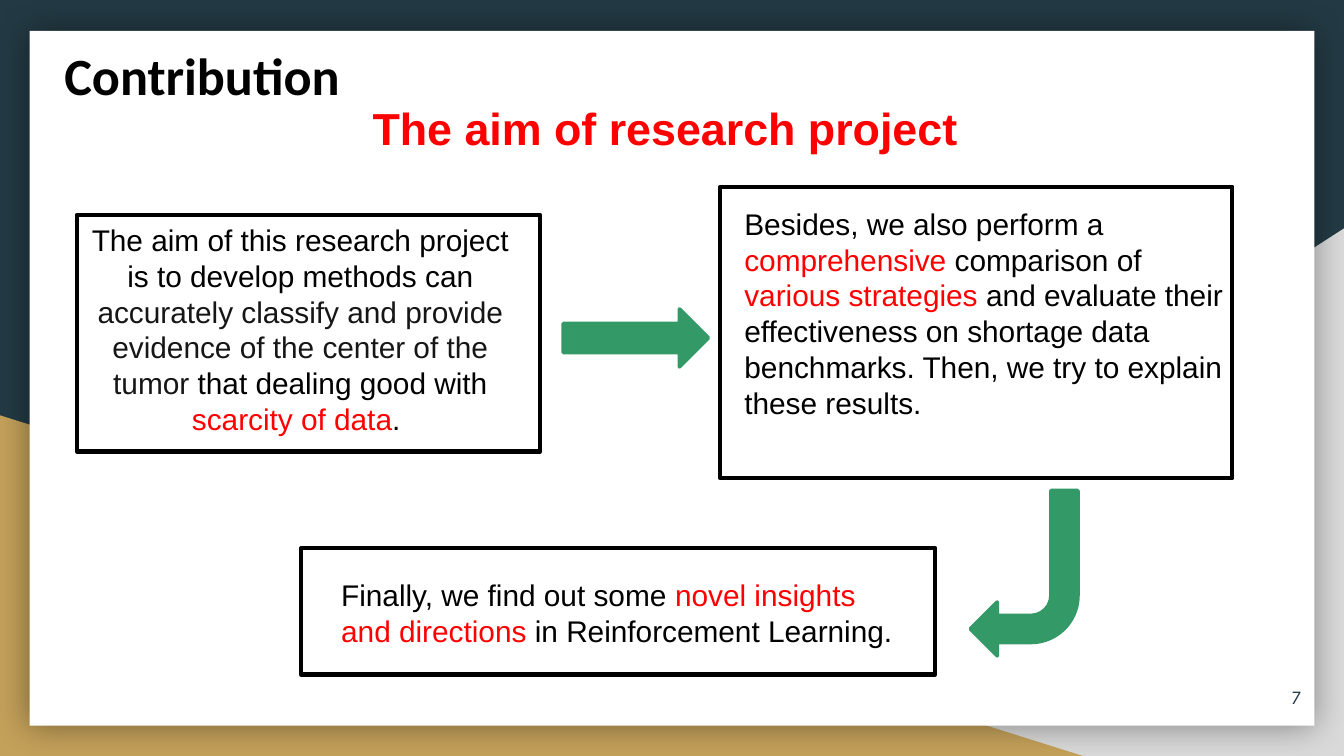
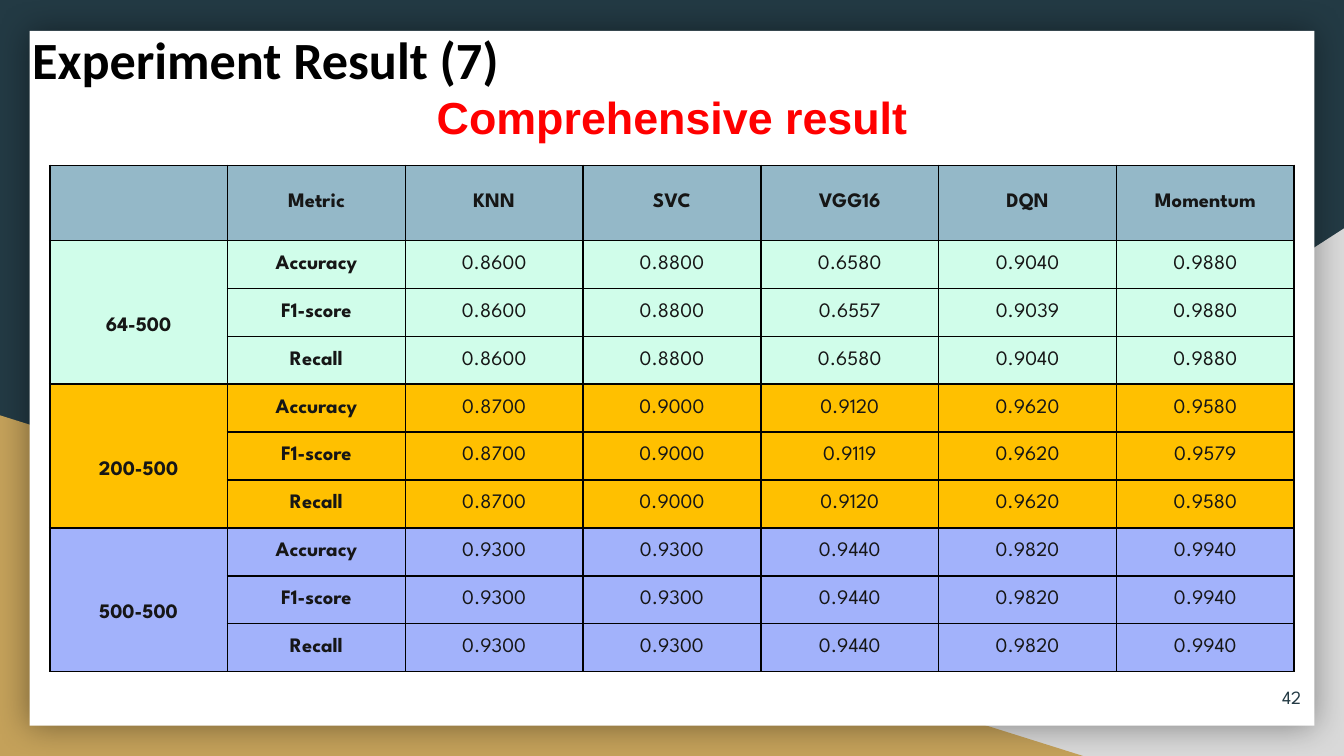
from lxml import etree
from pptx import Presentation
from pptx import util as u
from pptx.dml.color import RGBColor
from pptx.enum import shapes, text
from pptx.oxml import ns

W, H = 10, 10 * 9 / 16
COLORS = {
    "navy": "233A44", "gray": "D9D9D9", "tan": "C4A15A", "white": "FFFFFF",
    "black": "000000", "ink": "161616", "red": "FF0000", "green": "339966",
    "header": "94B8C8", "mint": "D0FDEA", "amber": "FFC000", "violet": "A2B2FB",
}
BODY, TABLE_FONT = "Arial", "League Spartan"
SHAPE, ALIGN = shapes.MSO_SHAPE, text.PP_ALIGN
MIDDLE = text.MSO_ANCHOR.MIDDLE

HEADINGS = ["Metric", "KNN", "SVC", "VGG16", "DQN", "Momentum"]
METRICS = ["Accuracy", "F1-score", "Recall"]
RESULTS = [
    ("64-500", "mint", ["0.8600 0.8800 0.6580 0.9040 0.9880",
                        "0.8600 0.8800 0.6557 0.9039 0.9880",
                        "0.8600 0.8800 0.6580 0.9040 0.9880"]),
    ("200-500", "amber", ["0.8700 0.9000 0.9120 0.9620 0.9580",
                          "0.8700 0.9000 0.9119 0.9620 0.9579",
                          "0.8700 0.9000 0.9120 0.9620 0.9580"]),
    ("500-500", "violet", ["0.9300 0.9300 0.9440 0.9820 0.9940"] * 3),
]


def rgb(name):
    return RGBColor.from_string(COLORS[name])


def inches(box):
    return [u.Inches(v) for v in box]


def style(p, size, font, color=None, bold=False, align=ALIGN.LEFT):
    p.alignment = align
    p.font.size, p.font.name, p.font.bold = u.Pt(size), font, bold
    if color:
        p.font.color.rgb = rgb(color)


def add_shape(parent, kind, box, fill, line=None, width=0):
    sp = parent.add_shape(kind, *inches(box))
    sp.shadow.inherit = False
    sp.fill.solid()
    sp.fill.fore_color.rgb = rgb(fill)
    if line:
        sp.line.color.rgb = rgb(line)
        sp.line.width = u.Pt(width)
    else:
        sp.line.fill.background()
    return sp


def add_text(parent, box, runs, size, font, bold=False, align=ALIGN.LEFT,
             inset=0.05, indent=0, grow=True):
    """Add one paragraph made of (text, colour) runs."""
    tf = parent.add_textbox(*inches(box)).text_frame
    tf.word_wrap = True
    tf.margin_top = tf.margin_bottom = u.Inches(inset)
    if grow:
        tf.auto_size = text.MSO_AUTO_SIZE.SHAPE_TO_FIT_TEXT
    else:
        tf.vertical_anchor = MIDDLE
    p = tf.paragraphs[0]
    if indent:
        pPr = p._p.get_or_add_pPr()
        pPr.set("marL", str(u.Inches(indent)))
        pPr.set("indent", "0")
    common = runs[0][1] if len(runs) == 1 else None
    style(p, size, font, common, bold, align)
    for words, color in runs:
        r = p.add_run()
        r.text = words
        if not common:
            r.font.color.rgb = rgb(color)


def add_glow(sp):
    """Put a soft shadow on all sides of a shape."""
    effects = sp._element.spPr.find(ns.qn("a:effectLst"))
    shadow = etree.SubElement(effects, ns.qn("a:outerShdw"),
                              blurRad=str(u.Pt(18)), dist="0", dir="0",
                              algn="ctr", rotWithShape="0")
    color = etree.SubElement(shadow, ns.qn("a:srgbClr"), val=COLORS["black"])
    etree.SubElement(color, ns.qn("a:alpha"), val="40000")


def add_base_slide(prs, title, title_box, subtitle, subtitle_box, number):
    """Add a slide with the backdrop, both headings and the page number."""
    s = prs.slides.add_slide(prs.slide_layouts[6])
    s.background.fill.solid()
    s.background.fill.fore_color.rgb = rgb("navy")
    right = add_shape(s.shapes, SHAPE.RIGHT_TRIANGLE,
                      (3.92, 1.7, W - 3.92, H - 1.7), "gray")
    right._element.spPr.find(ns.qn("a:xfrm")).set("flipH", "1")
    add_shape(s.shapes, SHAPE.RIGHT_TRIANGLE, (0, 3.09, 8.06, H - 3.09), "tan")
    add_glow(add_shape(s.shapes, SHAPE.RECTANGLE,
                       (0.22, 0.23, 9.56, 5.17), "white"))
    add_text(s.shapes, title_box, [(title, "black")], 28, "Calibri", True,
             inset=0.1, indent=0.14)
    add_text(s.shapes, (9.18, 4.97, 0.6, 0.43), [(number, "navy")], 10,
             TABLE_FONT, align=ALIGN.RIGHT, inset=0.1, grow=False)
    add_text(s.shapes, subtitle_box, [(subtitle, "red")], 24, BODY, True,
             ALIGN.CENTER)
    return s


def add_step(s, box, text_offset, text_size, runs, align=ALIGN.LEFT):
    """Group an outlined box with text placed relative to its corner."""
    group = s.shapes.add_group_shape().shapes
    add_shape(group, SHAPE.RECTANGLE, box, "white", "black", 2.25)
    text_box = (box[0] + text_offset[0], box[1] + text_offset[1], *text_size)
    add_text(group, text_box, runs, 16, BODY, align=align)


def add_arrow(s, kind, box, rotation=0):
    sp = add_shape(s.shapes, kind, box, "green", "green", 2)
    sp.rotation = rotation


def contribution_slide(prs):
    s = add_base_slide(prs, "Contribution", (0.24, 0.22, 3.35, 0.67),
                       "The aim of research project ", (2.48, 0.7, 5.03, 0.5),
                       "7")
    add_step(s, (0.57, 1.6, 3.45, 1.76), (-0.06, 0), (3.45, 1.72), [
        ("The aim of this research project is to develop methods can ", "black"),
        ("accurately classify and provide evidence of the center of the tumor ",
         "ink"),
        ("that dealing good with ", "black"),
        ("scarcity of data", "red"),
        (". ", "black")], ALIGN.CENTER)
    add_step(s, (5.36, 1.39, 3.81, 2.17), (0.08, 0.09), (3.89, 1.72), [
        ("Besides, we also perform a ", "black"),
        ("comprehensive", "red"),
        (" comparison of ", "black"),
        ("various strategies ", "red"),
        ("and evaluate their effectiveness on shortage data benchmarks. "
         "Then, we try to explain these results.", "black")])
    add_step(s, (2.24, 4.08, 4.72, 0.94), (0.2, 0.16), (4.4, 0.64), [
        ("Finally, we find out some ", "black"),
        ("novel insights and directions", "red"),
        (" in Reinforcement Learning.", "black")])
    add_arrow(s, SHAPE.RIGHT_ARROW, (4.19, 2.3, 1.08, 0.43))
    add_arrow(s, SHAPE.BENT_ARROW, (7.22, 3.65, 0.8, 1.23), 180)


def set_cell(cell, words, fill, bold):
    tcPr = cell._tc.get_or_add_tcPr()
    for side in ("lnL", "lnR", "lnT", "lnB"):
        ln = etree.SubElement(tcPr, ns.qn(f"a:{side}"), w=str(u.Pt(1)))
        line_fill = etree.SubElement(ln, ns.qn("a:solidFill"))
        etree.SubElement(line_fill, ns.qn("a:srgbClr"), val=COLORS["black"])
    cell.fill.solid()
    cell.fill.fore_color.rgb = rgb(fill)
    margin = u.Inches(0.07 if words else 0)
    cell.margin_left = cell.margin_right = margin
    cell.margin_top = cell.margin_bottom = margin
    cell.vertical_anchor = MIDDLE
    p = cell.text_frame.paragraphs[0]
    style(p, 11, TABLE_FONT, "ink", bold, ALIGN.CENTER)
    if words:
        p.add_run().text = words


def add_results_table(s, box, header_height):
    rows = [("header", ["", *HEADINGS])]
    for name, fill, lines in RESULTS:
        for i, (metric, line) in enumerate(zip(METRICS, lines)):
            rows.append((fill, ["" if i else name, metric, *line.split()]))
    columns = len(HEADINGS) + 1
    table = s.shapes.add_table(len(rows), columns, *inches(box)).table
    table.first_row = table.horz_banding = False
    for column in table.columns:
        column.width = u.Inches(box[2] / columns)
    row_height = (box[3] - header_height) / (len(rows) - 1)
    for i, (fill, values) in enumerate(rows):
        table.rows[i].height = u.Inches(row_height if i else header_height)
        for j, value in enumerate(values):
            set_cell(table.cell(i, j), value, fill, bold=i == 0 or j < 2)
    step = len(METRICS)
    for top in range(1, len(rows), step):
        first = table.cell(top, 0)
        first.merge(table.cell(top + step - 1, 0))
        first.text_frame.paragraphs[0].line_spacing = 2.5


def results_slide(prs):
    s = add_base_slide(prs, "Experiment Result (7)", (0, 0.1, 4.15, 0.67),
                       "Comprehensive result", (2.51, 0.62, 4.98, 0.5), "42")
    add_results_table(s, (0.37, 1.23, 9.26, 3.77), 0.56)


def main():
    prs = Presentation()
    prs.slide_width, prs.slide_height = u.Inches(W), u.Inches(H)
    contribution_slide(prs)
    results_slide(prs)
    prs.save("out.pptx")


if __name__ == "__main__":
    main()
